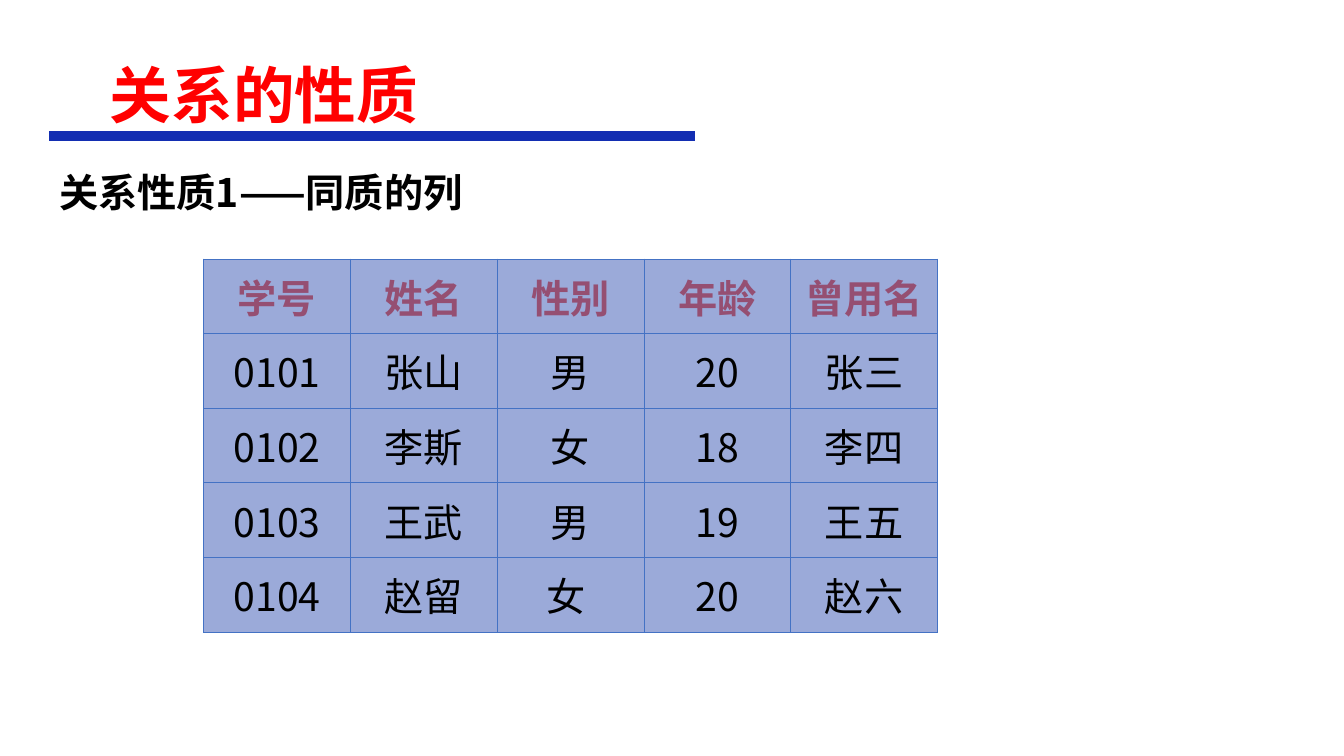
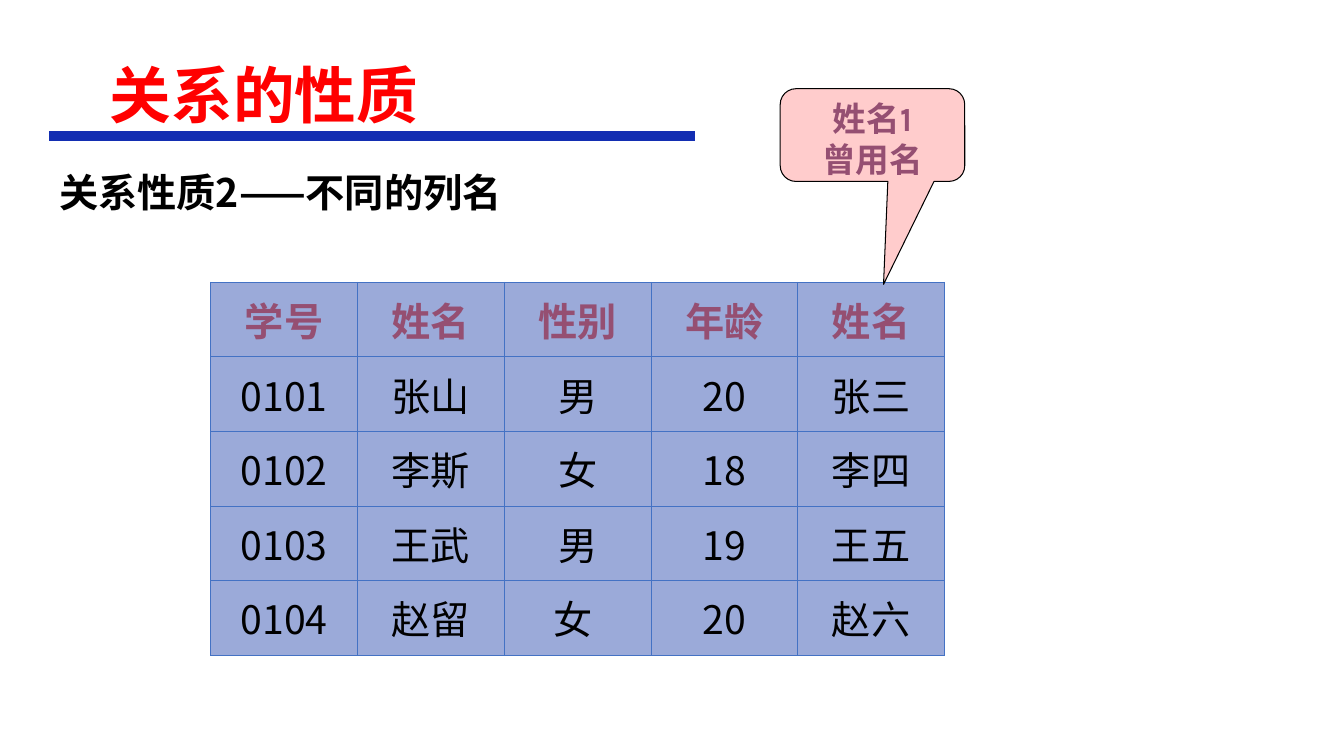
from dataclasses import dataclass
from typing import Optional

from lxml.etree import SubElement as Sub
from pptx import Presentation
from pptx.dml.color import RGBColor as Rgb
from pptx.enum.shapes import MSO_CONNECTOR as Link, MSO_SHAPE as Shape
from pptx.enum.text import MSO_ANCHOR as Anchor, PP_ALIGN as Align
from pptx.oxml.ns import qn
from pptx.util import Inches, Pt

WIDE, HIGH = Inches(13.33), Inches(7.5)
SANS, KARLA = "Noto Sans CJK SC", "Karla"
COLOR = {
    "title": "FF0000", "rule": "132EB2", "text": "000000", "head": "954F72",
    "cell": "9BAAD9", "grid": "4472C4", "note": "FFCCCC",
}


@dataclass(frozen=True)
class Box:
    """Place and size in percent of the slide's width and height."""
    x: float
    y: float
    w: float
    h: float

    def size(self) -> tuple[int, int, int, int]:
        return (int(WIDE * self.x / 100), int(HIGH * self.y / 100),
                int(WIDE * self.w / 100), int(HIGH * self.h / 100))


@dataclass(frozen=True)
class Style:
    size: float
    color: str
    bold: bool = True
    face: str = SANS


@dataclass(frozen=True)
class Page:
    lead: str
    last: str  # name of the last column
    table: Box
    note: Optional[tuple[str, ...]] = None


TITLE = Style(44, "title")
LEAD = Style(28, "text")
HEAD = Style(28, "head")
BODY = Style(28, "text", bold=False)
NOTE = Style(24, "head", face=KARLA)

TOP_BOX = Box(7.43, 3.33, 86.25, 19.33)
RULE_BOX = Box(3.68, 18, 48.07, 0)
LEAD_BOX = Box(3.68, 21.6, 50, 7.6)
NOTE_BOX = Box(58.05, 11.73, 13.73, 12.27)

NAMES = ("学号", "姓名", "性别", "年龄")
ROWS = (
    ("0101", "张山", "男", "20", "张三"),
    ("0102", "李斯", "女", "18", "李四"),
    ("0103", "王武", "男", "19", "王五"),
    ("0104", "赵留", "女 ", "20", "赵六"),
)
PAGES = (
    Page("关系性质1——同质的列", "曾用名", Box(15.15, 34.27, 54.6, 49.33)),
    Page("关系性质2——不同的列名", "姓名", Box(15.68, 37.33, 54.6, 49.33),
         ("姓名1", "曾用名")),
)


def tint(key: str) -> Rgb:
    return Rgb.from_string(COLOR[key])


def write(para, text: str, style: Style, align=Align.LEFT) -> None:
    para.alignment = align
    run = para.add_run()
    run.text = text
    font = run.font
    font.size, font.bold, font.name = Pt(style.size), style.bold, style.face
    font.color.rgb = tint(style.color)
    # East Asian glyphs need their own typeface entry
    Sub(font._element, qn("a:ea"), typeface=SANS)


def add_title(slide) -> None:
    title = slide.shapes.title
    title.left, title.top, title.width, title.height = TOP_BOX.size()
    title.text_frame.vertical_anchor = Anchor.MIDDLE
    para = title.text_frame.paragraphs[0]
    para.line_spacing = 0.9
    write(para, "关系的性质", TITLE)


def add_rule(slide) -> None:
    x, y, w, _ = RULE_BOX.size()
    rule = slide.shapes.add_connector(Link.STRAIGHT, x, y, x + w, y)
    rule.line.color.rgb = tint("rule")
    rule.line.width = Pt(7.25)
    Sub(rule._element.spPr, qn("a:effectLst"))


def add_lead(slide, text: str) -> None:
    frame = slide.shapes.add_textbox(*LEAD_BOX.size()).text_frame
    frame.word_wrap = True
    write(frame.paragraphs[0], text, LEAD)


def add_edges(cell) -> None:
    props = cell._tc.get_or_add_tcPr()
    for side in ("lnL", "lnR", "lnT", "lnB"):
        line = Sub(props, qn(f"a:{side}"), w=str(Pt(0.5)))
        fill = Sub(line, qn("a:solidFill"))
        Sub(fill, qn("a:srgbClr"), val=COLOR["grid"])


def add_grid(slide, page: Page) -> None:
    data = ((*NAMES, page.last), *ROWS)
    x, y, w, h = page.table.size()
    grid = slide.shapes.add_table(len(data), len(data[0]), x, y, w, h).table
    for r, row in enumerate(data):
        style = BODY if r else HEAD
        for c, text in enumerate(row):
            cell = grid.cell(r, c)
            add_edges(cell)
            cell.fill.solid()
            cell.fill.fore_color.rgb = tint("cell")
            cell.vertical_anchor = Anchor.MIDDLE
            para = cell.text_frame.paragraphs[0]
            para.space_before = Pt(0.2 * style.size)
            write(para, text, style, Align.CENTER)


def add_note(slide, lines: tuple[str, ...]) -> None:
    note = slide.shapes.add_shape(Shape.ROUNDED_RECTANGULAR_CALLOUT,
                                  *NOTE_BOX.size())
    note.shadow.inherit = False
    for i, value in enumerate((0.06, 1.61, 0.17)):
        note.adjustments[i] = value
    note.fill.solid()
    note.fill.fore_color.rgb = tint("note")
    note.line.color.rgb = tint("text")
    note.line.width = Pt(0.75)
    frame = note.text_frame
    frame.vertical_anchor = Anchor.TOP
    for i, text in enumerate(lines):
        para = frame.add_paragraph() if i else frame.paragraphs[0]
        write(para, text, NOTE, Align.CENTER)


def main() -> None:
    deck = Presentation()
    deck.slide_width, deck.slide_height = WIDE, HIGH
    for page in PAGES:
        slide = deck.slides.add_slide(deck.slide_layouts[5])  # title only
        add_title(slide)
        add_rule(slide)
        add_lead(slide, page.lead)
        add_grid(slide, page)
        if page.note:
            add_note(slide, page.note)
    deck.save("out.pptx")


if __name__ == "__main__":
    main()
